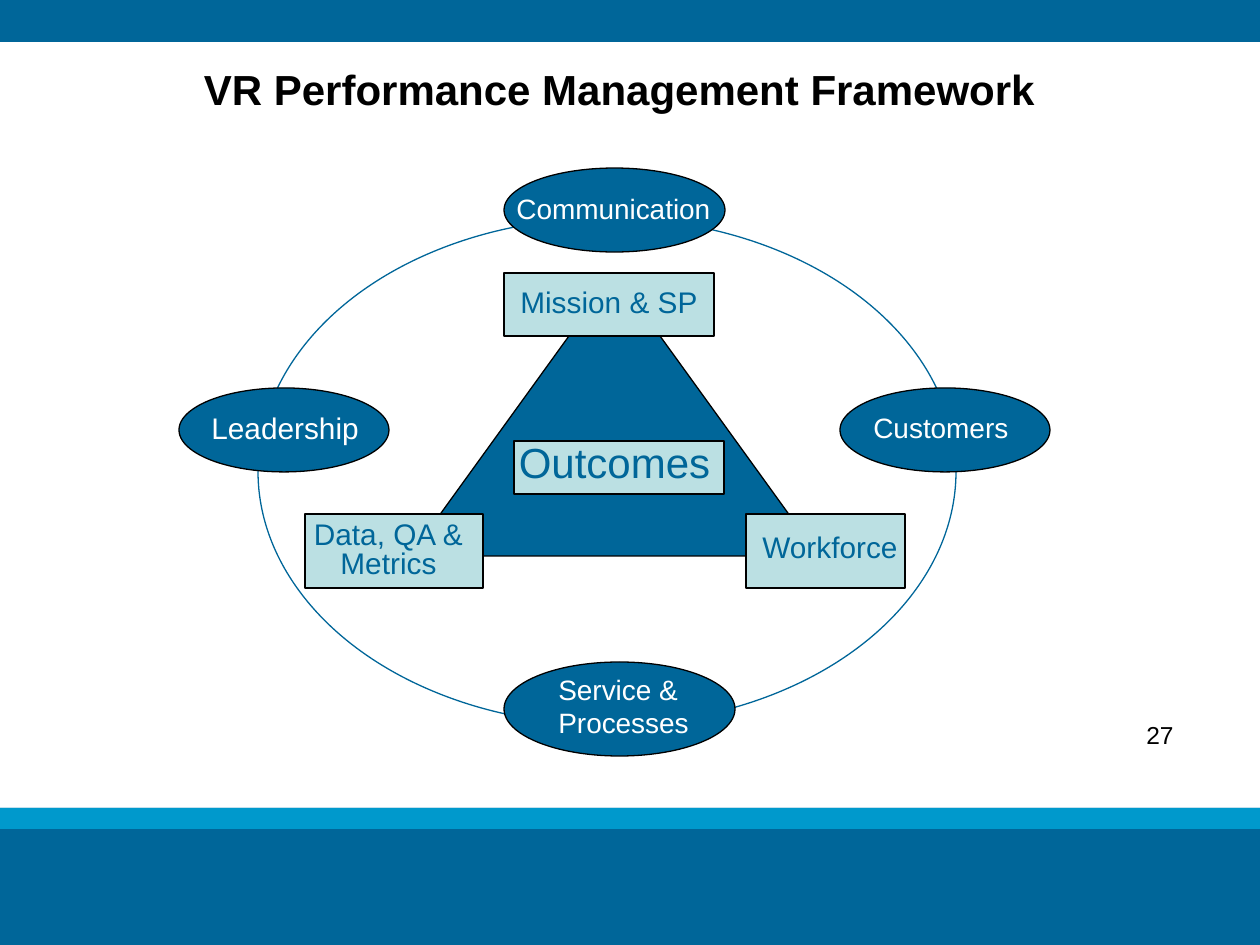
from pptx import Presentation
from pptx.dml.color import RGBColor
from pptx.enum.shapes import MSO_SHAPE
from pptx.enum.text import MSO_ANCHOR, PP_ALIGN
from pptx.util import Pt

PX = 914400 // 126
BLUE, SKY, PALE = "006699", "0099CC", "BBE0E3"
BLACK, WHITE = "000000", "FFFFFF"
RECT, OVAL = MSO_SHAPE.RECTANGLE, MSO_SHAPE.OVAL
LEFT, MID, RIGHT = PP_ALIGN.LEFT, PP_ALIGN.CENTER, PP_ALIGN.RIGHT

deck = Presentation()
deck.slide_width, deck.slide_height = 1260 * PX, 945 * PX
slide = deck.slides.add_slide(deck.slide_layouts[5])
shapes = slide.shapes


def draw(kind, box, fill=None, line=None):
    shape = shapes.add_shape(kind, *(n * PX for n in box))
    shape.shadow.inherit = False
    if fill:
        shape.fill.solid()
        shape.fill.fore_color.rgb = RGBColor.from_string(fill)
    else:
        shape.fill.background()
    if line:
        shape.line.color.rgb = RGBColor.from_string(line)
        shape.line.width = Pt(0.75)
    else:
        shape.line.fill.background()


def write(shape, text, size, color, align, anchor=MSO_ANCHOR.TOP, space=None, bold=False):
    frame = shape.text_frame
    frame.text = text
    frame.word_wrap = True
    frame.vertical_anchor = anchor
    para = frame.paragraphs[0]
    para.alignment = align
    para.line_spacing = space
    font = para.runs[0].font
    font.name, font.size, font.bold = "Arial", Pt(size), bold
    font.color.rgb = RGBColor.from_string(color)


# Bands at the foot and head of the slide
draw(RECT, (0, 808, 1260, 137), BLUE)
draw(RECT, (0, 808, 1260, 21), SKY)
draw(RECT, (0, 0, 1260, 42), BLUE)

# Ring and triangle
draw(OVAL, (258, 218, 698, 507), line=BLUE)
draw(MSO_SHAPE.ISOSCELES_TRIANGLE, (410, 273, 409, 283), BLUE, BLACK)

# Title and slide number
title = shapes.title
title.left, title.top, title.width, title.height = (n * PX for n in (84, 42, 1071, 94))
write(title, "VR Performance Management Framework", 24, BLACK, MID, MSO_ANCHOR.MIDDLE, bold=True)
number = shapes.add_textbox(*(n * PX for n in (924, 714, 262, 63)))
write(number, "27", 14, BLACK, RIGHT)

# Boxes on the triangle: text, size, line spacing, box, text area
boxes = [
    ("Outcomes", 24, 1.0, (514, 441, 210, 53), (504, 430, 221, 64)),
    ("Mission & SP", 17, 0.8, (504, 273, 210, 63), (504, 273, 210, 63)),
    ("Data, QA & Metrics", 17, 0.8, (305, 514, 178, 74), (294, 515, 189, 73)),
    ("Workforce", 17, 0.9, (746, 514, 159, 74), (746, 525, 168, 47)),
]
for text, size, space, box, area in boxes:
    draw(RECT, box, PALE, BLACK)
    label = shapes.add_textbox(*(n * PX for n in area))
    write(label, text, size, BLUE, MID, MSO_ANCHOR.MIDDLE, space)

# Ovals on the ring: text, size, oval, text area
ovals = [
    ("Leadership", 17, (179, 388, 210, 84), (199, 404, 179, 68)),
    ("Customers", 16, (840, 388, 210, 84), (861, 404, 168, 78)),
    ("Service & Processes", 16, (504, 662, 231, 94), (546, 666, 158, 68)),
    ("Communication", 16, (504, 168, 221, 84), (504, 185, 221, 63)),
]
for text, size, oval, area in ovals:
    draw(OVAL, oval, BLUE, BLACK)
    label = shapes.add_textbox(*(n * PX for n in area))
    write(label, text, size, WHITE, LEFT)

deck.save("out.pptx")
